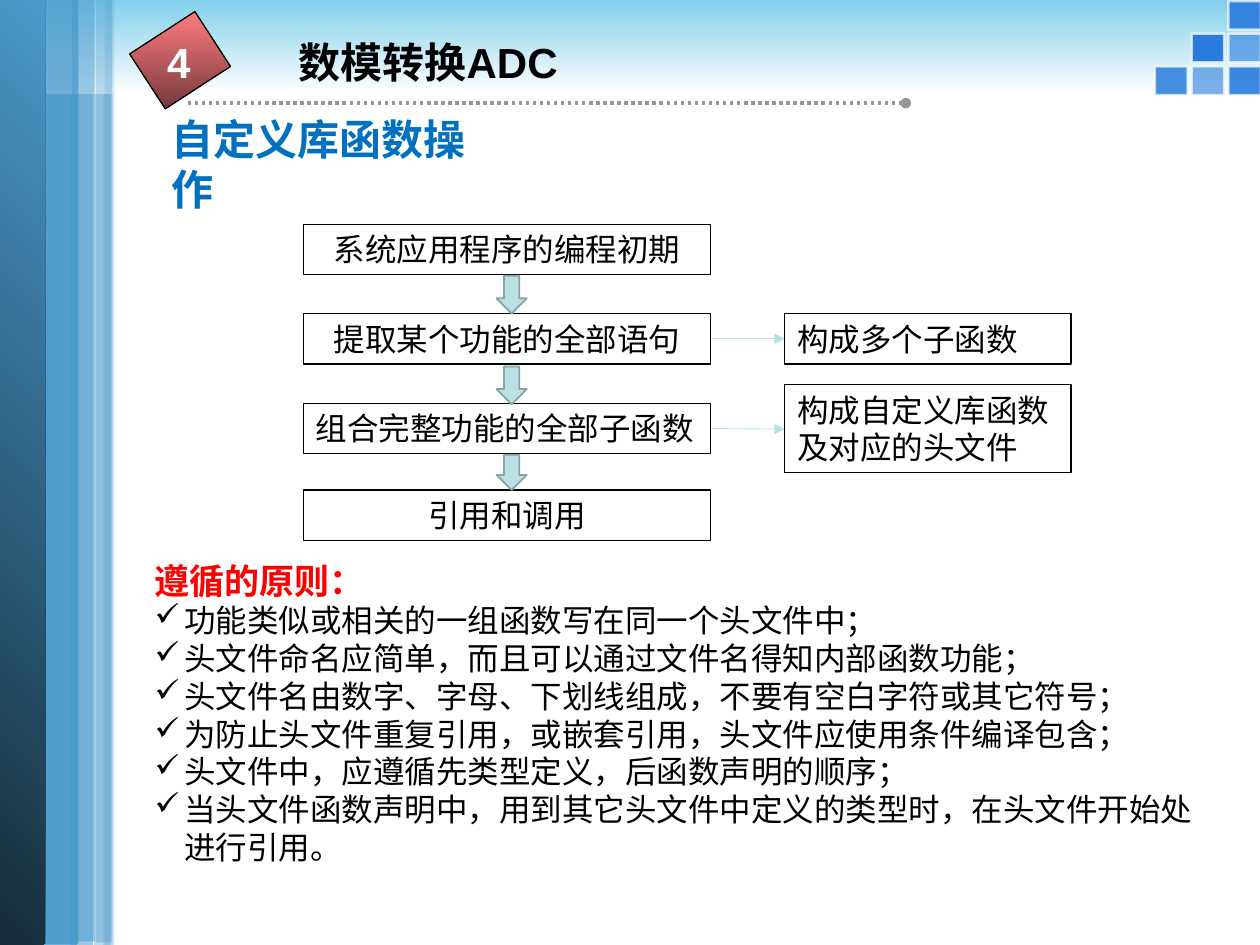
import pptx
import pptx.util
import pptx.dml.color
import pptx.enum.dml
import pptx.enum.shapes
import pptx.enum.text
import pptx.oxml.ns
from lxml import etree

Cm, Pt = pptx.util.Cm, pptx.util.Pt
RGB = pptx.dml.color.RGBColor.from_string
qn = pptx.oxml.ns.qn
KIND = pptx.enum.shapes.MSO_SHAPE
ALIGN = pptx.enum.text.PP_ALIGN
ANCHOR = pptx.enum.text.MSO_ANCHOR

HUES = {
    "black": "000000", "white": "FFFFFF", "red": "FF0000", "title": "0070C0",
    "blue": "4A9ACC", "night": "152C3A", "sky": "81CFEB", "tile": "297CDD",
    "pink": "FF7C80", "wine": "76393B", "gray": "969696",
    "mint": "BBE0E3", "edge": "89A4A7",
}

deck = pptx.Presentation()
deck.slide_width, deck.slide_height = Cm(25.4), Cm(19.05)
slide = deck.slides.add_slide(deck.slide_layouts[6])
shapes = slide.shapes


def draw(at, fill=None, line=None, width=0.75, alpha=100, edge=100, angle=0, kind=KIND.RECTANGLE):
    """Add a shape; a pair of fill names gives a gradient, alpha and edge are opacities."""
    shape = shapes.add_shape(kind, *[Cm(n) for n in at])
    shape.shadow.inherit = False
    if fill is None:
        shape.fill.background()
    elif isinstance(fill, tuple):
        shape.fill.gradient()
        shape.fill.gradient_angle = angle
        for stop, name in zip(shape.fill.gradient_stops, fill):
            stop.color.rgb = RGB(HUES[name])
    else:
        shape.fill.solid()
        shape.fill.fore_color.rgb = RGB(HUES[fill])
    if line:
        shape.line.width = Pt(width)
        shape.line.color.rgb = RGB(HUES[line])
    else:
        shape.line.fill.background()
    paints = shape._element.spPr.findall(qn("a:solidFill")) + shape._element.spPr.findall(
        qn("a:ln") + "/" + qn("a:solidFill"))
    for paint in paints:
        part = edge if paint.getparent().tag == qn("a:ln") else alpha
        if part < 100:
            etree.SubElement(paint[0], qn("a:alpha"), val=str(part * 1000))
    return shape


def write(shape, lines, size, hue="black", bold=False, align=ALIGN.LEFT, wrap=True):
    frame = shape.text_frame
    frame.word_wrap = wrap
    frame.auto_size = pptx.enum.text.MSO_AUTO_SIZE.SHAPE_TO_FIT_TEXT
    frame.vertical_anchor = ANCHOR.TOP
    frame.text = "\n".join(lines)
    for para in frame.paragraphs:
        para.alignment = align
        font = para.font
        font.name, font.size, font.bold = "Arial", Pt(size), bold
        font.color.rgb = RGB(HUES[hue])
    return frame


# Left bands, laid twice around the top band
bands = [
    (0.76, 0, 0.79, 19.13, 80),
    (-0.03, 0, 0.91, 19.13, 100),
    (2.08, 0.05, 0.2, 19.1, 20),
    (1.42, 0, 0.46, 19.08, 54),
    (1.9, 0, 0.33, 19.1, 37),
]
tiles = [(2, 2, 90), (1, 2, 60), (0, 2, 85), (1, 1, 100), (2, 1, 60), (2, 0, 90)]
for dx, dy in [(0, 0), (0.03, -0.1)]:
    if dx:
        draw((0, 0, 25.4, 1.9), ("sky", "white"), angle=270)
        for col, row, alpha in tiles:
            tile = draw((23.32 + 0.74 * col, -0.02 + 0.66 * row, 0.58, 0.66),
                        "tile", "white", 1.5, alpha, 70)
            tile.rotation = 90
    for x, y, w, h, alpha in bands:
        fill = ("night", "blue") if alpha == 100 else "blue"
        draw((x + dx, y + dy, w, h), fill, alpha=alpha, angle=45)

# Lines: title rule and side arrows
rules = [
    (3.78, 2.08, 18.26, 2.08, "gray", 2, "oval"),
    (14.35, 6.83, 15.82, 6.83, "mint", 0.5, "triangle"),
    (14.35, 8.64, 15.82, 8.65, "mint", 0.5, "triangle"),
]
for x1, y1, x2, y2, hue, width, tip in rules:
    rule = shapes.add_connector(pptx.enum.shapes.MSO_CONNECTOR.STRAIGHT,
                                Cm(x1), Cm(y1), Cm(x2), Cm(y2))
    rule.line.width = Pt(width)
    rule.line.color.rgb = RGB(HUES[hue])
    if tip == "oval":
        rule.line.dash_style = pptx.enum.dml.MSO_LINE.ROUND_DOT
    prop = rule._element.spPr
    etree.SubElement(prop.find(qn("a:ln")), qn("a:tailEnd"), type=tip)
    etree.SubElement(prop, qn("a:effectLst"))

# Heading
badge = draw((2.97, 0.43, 1.32, 1.57), ("pink", "wine"), "black", angle=327)
badge.rotation = 57
heads = [
    ((6.02, 0.61, 10.57, 1.27), "数模转换ADC", "black", ALIGN.LEFT, True),
    ((3.12, 0.61, 0.97, 1.27), "4", "white", ALIGN.CENTER, False),
    ((3.2, 2.67, 7.26, 1.27), "自定义库函数操作", "title", ALIGN.LEFT, False),
]
for at, text, hue, align, wrap in heads:
    label = shapes.add_textbox(*[Cm(n) for n in at])
    frame = write(label, [text], 24, hue, True, align, wrap)
    if hue == "black":
        frame.margin_left = frame.margin_right = 0
    if hue == "title":
        frame.vertical_anchor = ANCHOR.MIDDLE

# Flow chart
steps = [
    (6.12, 4.52, 8.2, 1.02, "系统应用程序的编程初期", ALIGN.CENTER),
    (6.12, 6.32, 8.2, 1.02, "提取某个功能的全部语句", ALIGN.CENTER),
    (6.12, 8.13, 8.2, 1.02, "组合完整功能的全部子函数", ALIGN.LEFT),
    (6.12, 9.88, 8.2, 1.02, "引用和调用", ALIGN.CENTER),
    (15.82, 6.32, 5.77, 1.02, "构成多个子函数", ALIGN.LEFT),
    (15.82, 7.75, 5.77, 1.78, "构成自定义库函数及对应的头文件", ALIGN.LEFT),
]
for *at, text, align in steps:
    write(draw(at, line="black"), [text], 18, align=align)
for y, h in [(5.56, 0.76), (7.39, 0.76), (9.17, 0.71)]:
    draw((10.01, y, 0.61, h), "mint", "edge", 1, kind=KIND.DOWN_ARROW)

# Principles
notes = [
    "遵循的原则：",
    "功能类似或相关的一组函数写在同一个头文件中；",
    "头文件命名应简单，而且可以通过文件名得知内部函数功能；",
    "头文件名由数字、字母、下划线组成，不要有空白字符或其它符号；",
    "为防止头文件重复引用，或嵌套引用，头文件应使用条件编译包含；",
    "头文件中，应遵循先类型定义，后函数声明的顺序；",
    "当头文件函数声明中，用到其它头文件中定义的类型时，在头文件开始处进行引用。",
]
area = shapes.add_textbox(Cm(2.87), Cm(11.15), Cm(21.89), Cm(6.45))
first, *rest = write(area, notes, 18).paragraphs
first.font.size, first.font.bold = Pt(20), True
first.font.color.rgb = RGB(HUES["red"])
for para in rest:
    prop = para._p.get_or_add_pPr()
    prop.set("marL", str(Cm(0.6)))
    prop.set("indent", str(-Cm(0.6)))
    mark = etree.Element(qn("a:buChar"), char="✓")
    prop.find(qn("a:defRPr")).addprevious(mark)

deck.save("out.pptx")
